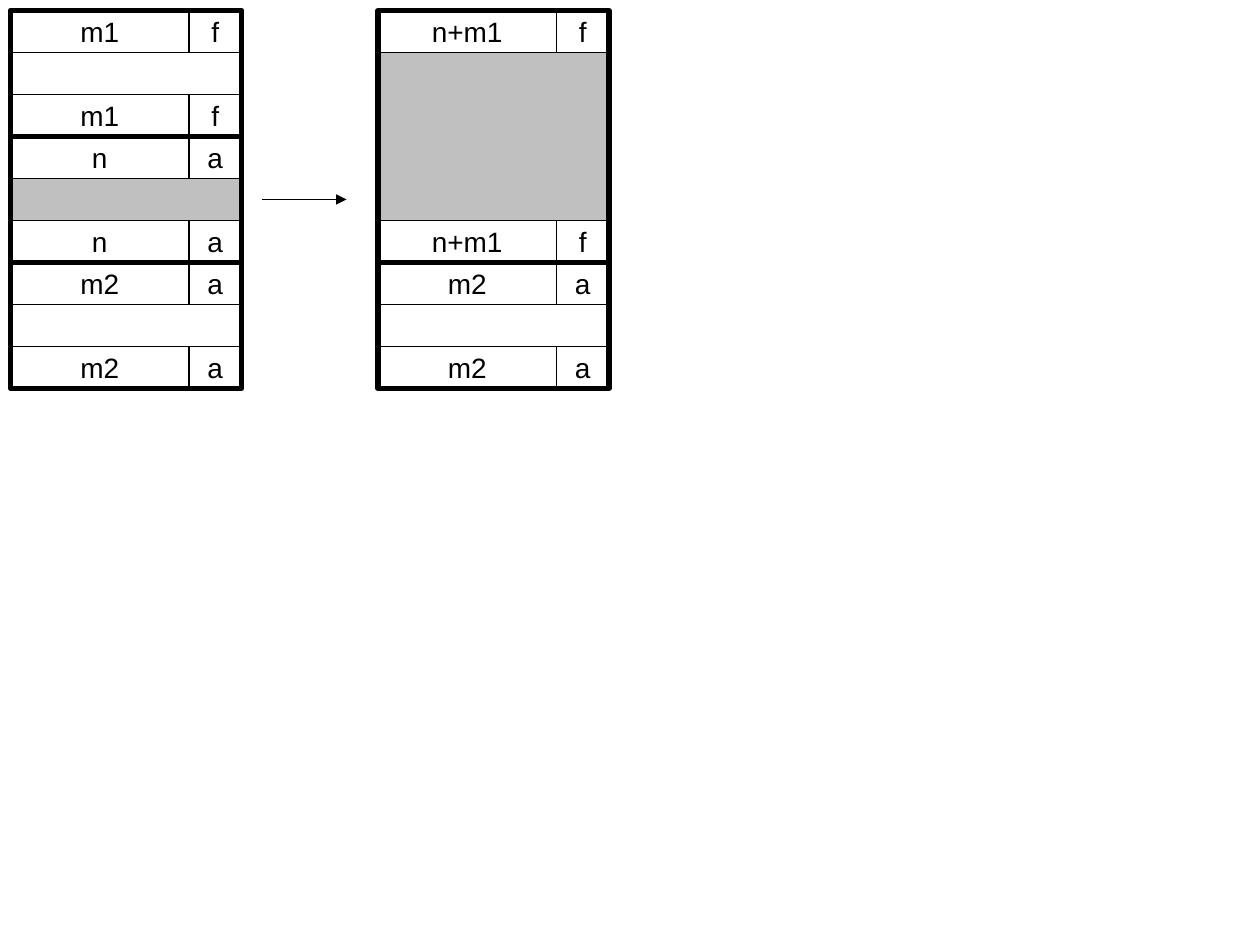
"""Build a slide showing a freed memory block merging with its free neighbour."""
from dataclasses import dataclass

from lxml import etree
from pptx import Presentation
from pptx.dml.color import RGBColor
from pptx.enum.shapes import MSO_CONNECTOR, MSO_SHAPE
from pptx.enum.text import MSO_ANCHOR, PP_ALIGN
from pptx.oxml.ns import qn
from pptx.util import Pt

RECTANGLE = MSO_SHAPE.RECTANGLE
STRAIGHT = MSO_CONNECTOR.STRAIGHT
MIDDLE = MSO_ANCHOR.MIDDLE
CENTER = PP_ALIGN.CENTER


@dataclass(frozen=True)
class Theme:
    ink: RGBColor = RGBColor(0, 0, 0)
    paper: RGBColor = RGBColor(255, 255, 255)
    gray: RGBColor = RGBColor(192, 192, 192)
    font: str = "Arial"
    size: int = 16
    thin: int = 1
    thick: int = 3


theme = Theme()
TOP, ROW = 6, 24
SIZE_WIDTH, FLAG_WIDTH = 102, 30
BLOCK_WIDTH = SIZE_WIDTH + FLAG_WIDTH
BEFORE, AFTER = 6, 216

deck = Presentation()
deck.slide_width, deck.slide_height = Pt(720), Pt(540)
page = deck.slides.add_slide(deck.slide_layouts[6])


def add_box(left, top, width, height, fill=None, line=theme.thin, text=""):
    box = page.shapes.add_shape(RECTANGLE, Pt(left), Pt(top), Pt(width), Pt(height))
    box.shadow.inherit = False
    if fill is None:
        box.fill.background()
    else:
        box.fill.solid()
        box.fill.fore_color.rgb = fill
    box.line.color.rgb = theme.ink
    box.line.width = Pt(line)
    if text:
        frame = box.text_frame
        for name, value in {"word_wrap": False, "vertical_anchor": MIDDLE}.items():
            setattr(frame, name, value)
        para = frame.paragraphs[0]
        para.alignment = CENTER
        span = para.add_run()
        span.text = text
        for name, value in {"name": theme.font, "size": Pt(theme.size)}.items():
            setattr(span.font, name, value)
        span.font.color.rgb = theme.ink


blocks = [
    (BEFORE, 0, 1, "m1", "f", theme.paper),
    (BEFORE, 3, 1, "n", "a", theme.gray),
    (BEFORE, 6, 1, "m2", "a", theme.paper),
    (AFTER, 0, 4, "n+m1", "f", theme.gray),
    (AFTER, 6, 1, "m2", "a", theme.paper),
]
for left, first_row, body_rows, size, flag, body_fill in blocks:
    top = TOP + first_row * ROW
    footer_top = top + (body_rows + 1) * ROW
    add_box(left, top + ROW, BLOCK_WIDTH, body_rows * ROW, body_fill)
    for tag_top in (top, footer_top):
        add_box(left, tag_top, SIZE_WIDTH, ROW, theme.paper, text=size)
        add_box(left + SIZE_WIDTH, tag_top, FLAG_WIDTH, ROW, theme.paper, text=flag)
    add_box(left, top, BLOCK_WIDTH, (body_rows + 2) * ROW, line=theme.thick)

arrow = page.shapes.add_connector(STRAIGHT, Pt(150), Pt(114), Pt(198), Pt(114))
arrow.line.color.rgb = theme.ink
arrow.line.width = Pt(theme.thin)
etree.SubElement(arrow.line._get_or_add_ln(), qn("a:tailEnd"), type="triangle")
etree.SubElement(arrow._element.spPr, qn("a:effectLst"))

deck.save("out.pptx")
